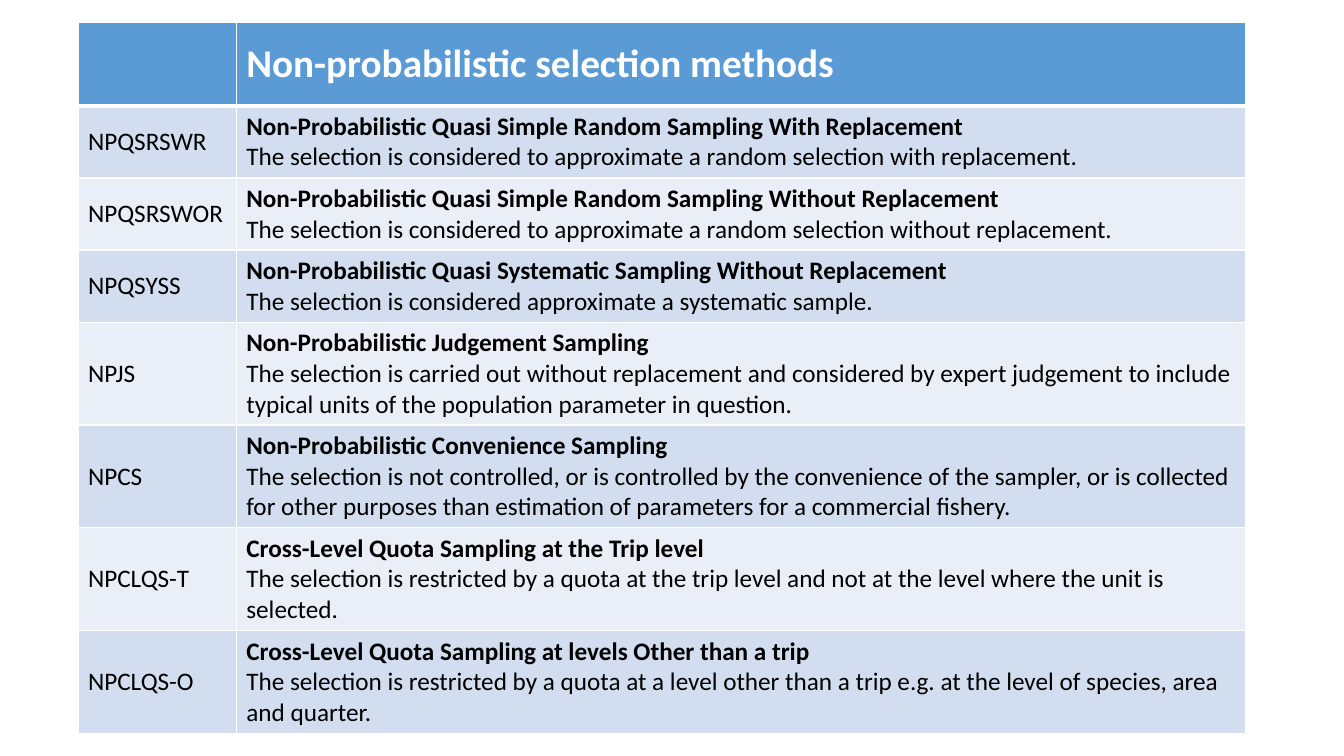
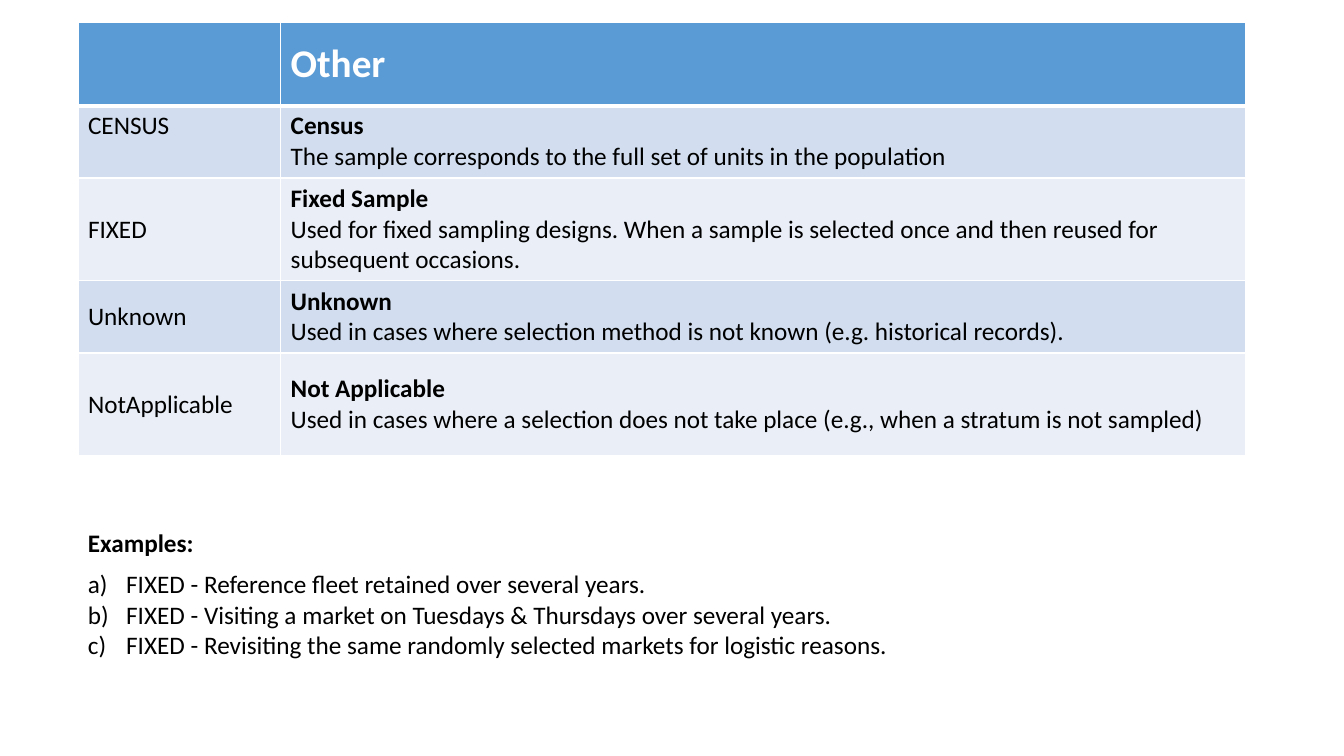
from dataclasses import dataclass

from lxml import etree
from pptx import Presentation
from pptx import util as u
from pptx.dml.color import RGBColor
from pptx.enum import text
from pptx.oxml.ns import qn


@dataclass(frozen=True)
class Theme:
    font: str = "Calibri"
    header: str = "5B9BD5"
    bands: tuple = ("D2DEEF", "EAEFF7")
    white: str = "FFFFFF"
    black: str = "000000"
    title_pt: int = 28
    body_pt: int = 18
    rule_pt: int = 1
    header_rule_pt: int = 3


T = Theme()
TITLE = {"size": u.Pt(T.title_pt), "name": T.font, "bold": True, "color": T.white}
BODY = {"size": u.Pt(T.body_pt), "name": T.font, "bold": False, "color": T.black}
STRONG = {**BODY, "bold": True}
MIDDLE, TOP = text.MSO_ANCHOR.MIDDLE, text.MSO_ANCHOR.TOP

# Grid: 100 columns by 100 rows on the slide
SLIDE_W, SLIDE_H = 13.33, 7.5
LEFT, TABLE_TOP, TABLE_W = 5.8, 3, 86.85
HEADER_ROWS, LINE_ROWS, PAD_ROWS = 11, 4.07, 1.4

# Each entry: code, name, meaning, lines of text, anchor
METHODS = [
    ("NPQSRSWR", "Non-Probabilistic Quasi Simple Random Sampling With Replacement",
     "The selection is considered to approximate a random selection with replacement.", 2, MIDDLE),
    ("NPQSRSWOR", "Non-Probabilistic Quasi Simple Random Sampling Without Replacement",
     "The selection is considered to approximate a random selection without replacement.", 2, MIDDLE),
    ("NPQSYSS", "Non-Probabilistic Quasi Systematic Sampling Without Replacement",
     "The selection is considered approximate a systematic sample.", 2, MIDDLE),
    ("NPJS", "Non-Probabilistic Judgement Sampling",
     "The selection is carried out without replacement and considered by expert judgement "
     "to include typical units of the population parameter in question.", 3, MIDDLE),
    ("NPCS", "Non-Probabilistic Convenience Sampling",
     "The selection is not controlled, or is controlled by the convenience of the sampler, "
     "or is collected for other purposes than estimation of parameters for a commercial fishery.",
     3, MIDDLE),
    ("NPCLQS-T", "Cross-Level Quota Sampling at the Trip level",
     "The selection is restricted by a quota at the trip level and not at the level "
     "where the unit is selected.", 3, MIDDLE),
    ("NPCLQS-O", "Cross-Level Quota Sampling at levels Other than a trip",
     "The selection is restricted by a quota at a level other than a trip e.g. at the level "
     "of species, area and quarter.", 3, MIDDLE),
]
OTHER = [
    ("CENSUS", "Census",
     "The sample corresponds to the full set of units in the population", 2, TOP),
    ("FIXED", "Fixed Sample",
     "Used for fixed sampling designs. When a sample is selected once and then reused "
     "for subsequent occasions.", 3, MIDDLE),
    ("Unknown", "Unknown",
     "Used in cases where selection method is not known (e.g. historical records).", 2, MIDDLE),
    ("NotApplicable", "Not Applicable",
     "Used in cases where a selection does not take place (e.g., when a stratum is not sampled)",
     3, MIDDLE),
]
EXAMPLES = [
    "FIXED - Reference fleet retained over several years.",
    "FIXED - Visiting a market on Tuesdays & Thursdays over several years.",
    "FIXED - Revisiting the same randomly selected markets for logistic reasons.",
]


def col(n):
    return u.Inches(n * SLIDE_W / 100)


def row(n):
    return u.Inches(n * SLIDE_H / 100)


# Text
def write(tf, lines):
    """Fill a text frame with (text, format) paragraphs."""
    for i, (words, fmt) in enumerate(lines):
        p = tf.paragraphs[0] if i == 0 else tf.add_paragraph()
        r = p.add_run()
        r.text = words
        for key, value in fmt.items():
            if key == "color":
                r.font.color.rgb = RGBColor.from_string(value)
            else:
                setattr(r.font, key, value)


def number(p):
    """Turn a paragraph into an item of an a) b) c) list."""
    pPr = p._p.get_or_add_pPr()
    indent = u.Inches(0.38)
    pPr.set("marL", str(indent))
    pPr.set("indent", str(-indent))
    etree.SubElement(pPr, qn("a:buAutoNum"), type="alphaLcParenR")


# Tables
def style_cell(cell, fill, anchor, top, bottom):
    """Set white borders first, then the fill, as the schema orders them."""
    tcPr = cell._tc.get_or_add_tcPr()
    for side, pt in zip("LRTB", (T.rule_pt, T.rule_pt, top, bottom)):
        ln = etree.SubElement(tcPr, qn("a:ln" + side), w=str(u.Pt(pt)))
        solid = etree.SubElement(ln, qn("a:solidFill"))
        etree.SubElement(solid, qn("a:srgbClr"), val=T.white)
    cell.fill.solid()
    cell.fill.fore_color.rgb = RGBColor.from_string(fill)
    cell.vertical_anchor = anchor


def code_table(slide, title, entries, code_w):
    heights = [HEADER_ROWS] + [e[3] * LINE_ROWS + PAD_ROWS for e in entries]
    frame = slide.shapes.add_table(len(heights), 2, col(LEFT), row(TABLE_TOP),
                                   col(TABLE_W), row(sum(heights)))
    table = frame.table
    table.first_row = table.horz_banding = False
    for column, width in zip(table.columns, (code_w, TABLE_W - code_w)):
        column.width = col(width)
    for table_row, height in zip(table.rows, heights):
        table_row.height = row(height)

    # Header
    for cell in table.rows[0].cells:
        style_cell(cell, T.header, MIDDLE, T.rule_pt, T.header_rule_pt)
    write(table.cell(0, 1).text_frame, [(title, TITLE)])

    # Banded body
    for i, (code, name, meaning, _, anchor) in enumerate(entries):
        cells = table.cell(i + 1, 0), table.cell(i + 1, 1)
        for cell in cells:
            style_cell(cell, T.bands[i % 2], anchor,
                       T.rule_pt if i else T.header_rule_pt, T.rule_pt)
        write(cells[0].text_frame, [(code, BODY)])
        write(cells[1].text_frame, [(name, STRONG), (meaning, BODY)])


# Examples below the table
def example_list(slide, heading, items):
    sp = slide.shapes.add_textbox(col(LEFT), row(68.8), col(80.65), row(19.33))
    tf = sp.text_frame
    tf.word_wrap = True
    write(tf, [(heading, STRONG)] + [(item, BODY) for item in items])
    head, *rest = tf.paragraphs
    head.line_spacing = 1.07
    head.space_after = u.Pt(8)
    for p in rest:
        number(p)


def main():
    prs = Presentation()
    prs.slide_width, prs.slide_height = u.Inches(SLIDE_W), u.Inches(SLIDE_H)
    blank = prs.slide_layouts[6]

    code_table(prs.slides.add_slide(blank), "Non-probabilistic selection methods",
               METHODS, code_w=11.78)

    s = prs.slides.add_slide(blank)
    code_table(s, "Other", OTHER, code_w=15.08)
    example_list(s, "Examples:", EXAMPLES)

    prs.save("out.pptx")


if __name__ == "__main__":
    main()
